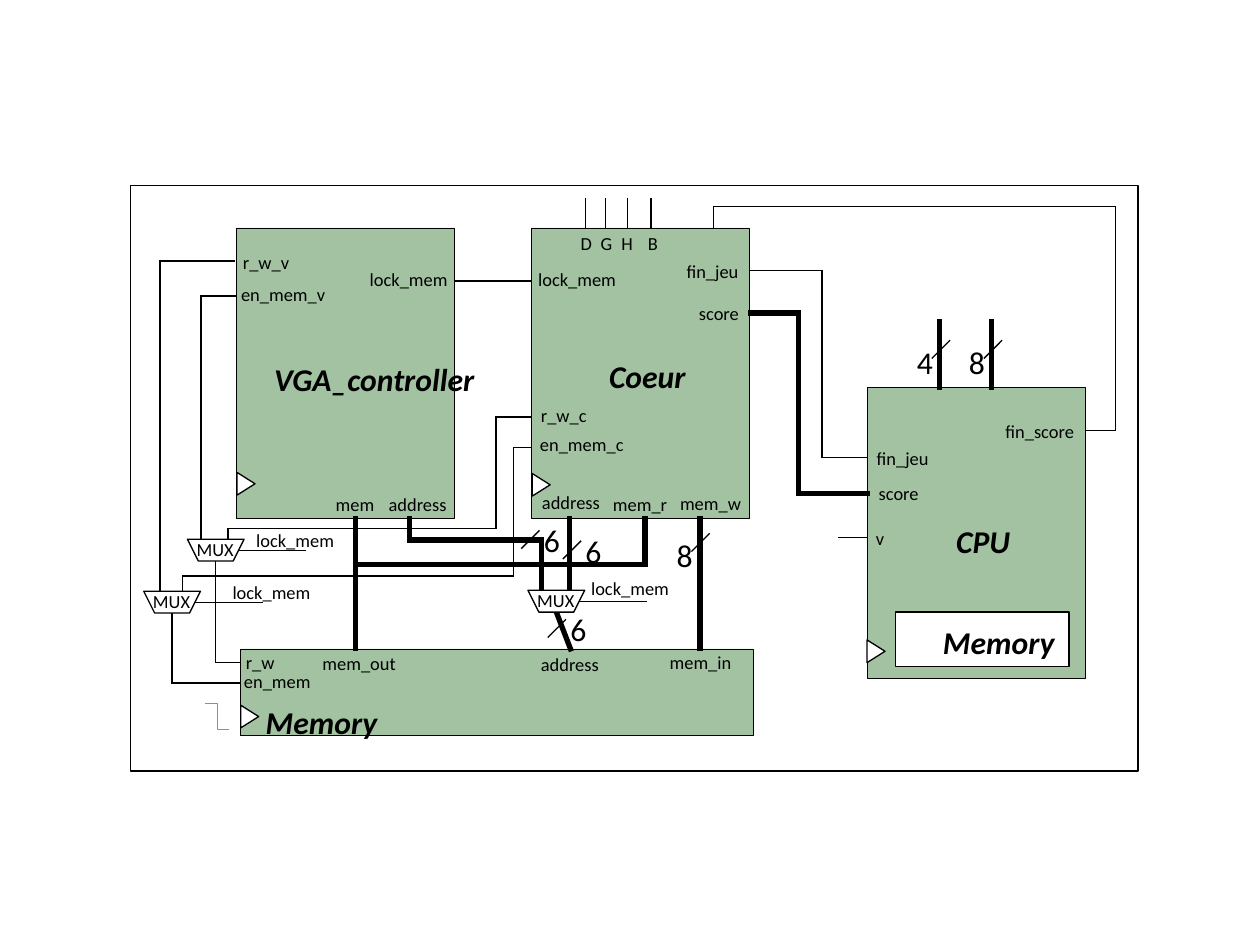
from dataclasses import dataclass
from itertools import pairwise

from lxml.etree import SubElement
from pptx import Presentation
from pptx.dml.color import RGBColor
from pptx.enum.shapes import MSO_CONNECTOR as Link, MSO_SHAPE as Preset
from pptx.oxml.ns import qn
from pptx.util import Pt


@dataclass(frozen=True)
class Theme:
    font: str = "Calibri"
    ink: RGBColor = RGBColor(0, 0, 0)
    paper: RGBColor = RGBColor(255, 255, 255)
    block: RGBColor = RGBColor(0xA2, 0xC2, 0xA2)
    clock: RGBColor = RGBColor(0x5B, 0x9B, 0xD5)
    label: float = 14
    title: float = 24.1
    hairline: float = 0.5
    wire: float = 1
    bus: float = 4


THEME = Theme()
BLOCK_SIZE = (165.6, 221)
MUX_SIZE = (43.2, 16.6)
CLOCK_SIZE = (17.3, 13.7)

BLOCKS = [(180, 173.5, *BLOCK_SIZE), (404.6, 173.5, *BLOCK_SIZE),
          (660.2, 295.2, *BLOCK_SIZE), (182.9, 493.9, 390.2, 66.2)]
CLOCK_INPUTS = [(178.6, 361.4), (403.2, 362.2), (181.4, 538.6), (658.1, 488.9)]
MUXES = [(142.6, 410.4), (109.4, 450), (401.8, 449.3)]

WIRES = [
    [(178.6, 198.7), (121.7, 198.7), (121.7, 450)],
    [(180, 225.4), (153, 225.4), (153, 410.4)],
    [(404.6, 317.5), (377.6, 317.5), (377.6, 402.5), (173.5, 402.5), (173.5, 410.4)],
    [(404, 340.6), (390.6, 340.6), (390.6, 438.5), (139, 438.5), (139, 450)],
    [(131, 467), (131, 519.8), (182.9, 519.8)],
    [(164.2, 427), (164.2, 504), (183, 504)],
    [(347, 213.8), (404.6, 213.8)],
    [(571, 205.9), (625.7, 205.9), (625.7, 348.5), (660.2, 348.5)],
    [(660.2, 409.3), (638.6, 409.3)],
    [(826.6, 327.6), (848.9, 327.6), (848.9, 157), (542.9, 157), (542.9, 173.5)],
]
BUSES = [
    [(571, 238.3), (607.7, 238.3), (607.7, 375.8), (660.2, 375.8)],
    [(532.8, 394.6), (532.8, 493.9)],
    [(433.4, 394.6), (433.4, 449.3)],
    [(311.8, 394.6), (311.8, 411.1), (412, 411.1), (412, 449.3)],
    [(270.7, 394.6), (270.7, 493.2)],
    [(270.7, 429.8), (491, 429.8), (491, 394.6)],
    [(423.4, 465.8), (434.2, 493.9)],
    [(715, 244.8), (715, 295.2)],
    [(754.6, 244.8), (754.6, 295.2)],
]
# Text, foot of the slash, offset of the number from that foot
LEFT, RIGHT = (-18.4, -15.8), (10.1, -24.5)
BUS_WIDTHS = [
    ("8", (526.3, 419.8), LEFT), ("4", (709.2, 272.9), LEFT),
    ("8", (748.8, 272.9), LEFT), ("6", (428.4, 425.5), RIGHT),
    ("6", (396.7, 417.6), RIGHT), ("6", (416.9, 485.3), RIGHT),
]
# Letter, pin x, label left, label width
DIRECTIONS = [("D", 445.7, 434.9, 23), ("G", 460.8, 450, 23.8),
              ("H", 477.4, 465.8, 23), ("B", 495.4, 486, 22.3)]
# Text: box width, places of its boxes
LABELS = {
    "lock_mem": (74.2, [(274.3, 200.2), (402.5, 200.2), (187.9, 398.9),
                        (169.9, 438.5), (442.8, 435.6)]),
    "address": (59, [(288.7, 371.5), (405.4, 370.1), (404.6, 493.9)]),
    "fin_jeu": (54.7, [(515.5, 194.4), (660.2, 337)]),
    "score": (45.4, [(524.9, 226.1), (661.7, 363.6)]),
    "r_w_v": (50.4, [(177.8, 187.9)]),
    "en_mem_v": (79.2, [(176.4, 211.7)]),
    "r_w_c": (49.7, [(404.6, 303.8)]),
    "en_mem_c": (78.5, [(403.9, 326.2)]),
    "mem": (43.9, [(248.4, 372.2)]),
    "mem_r": (56.2, [(459.4, 371.5)]),
    "mem_w": (61.2, [(510.5, 370.8)]),
    "mem_in": (61.9, [(502.6, 491.8)]),
    "mem_out": (70.6, [(238.3, 492.5)]),
    "r_w": (36.7, [(180, 491.8)]),
    "en_mem": (65.5, [(178.6, 506.9)]),
    "v": (20.9, [(659.5, 397.4)]),
    "fin_score": (67, [(758.2, 316.1)]),
}
TITLES = {
    "VGA_controller": (168.5, [(201.6, 270.7)]),
    "Coeur": (73.4, [(456.5, 267.8)]),
    "CPU": (56.2, [(720.7, 393.8)]),
    "Memory": (100.1, [(195.1, 531.4), (710.6, 470.9)]),
}


def assign(target, values):
    for name, value in values.items():
        setattr(target, name, value)


def add_outline(page, preset, place, fill=THEME.paper, width=THEME.wire, rotation=0):
    shape = page.shapes.add_shape(preset, *map(Pt, place))
    shape.shadow.inherit = False
    shape.rotation = rotation
    shape.fill.solid()
    shape.fill.fore_color.rgb = fill
    shape.line.color.rgb = THEME.ink
    shape.line.width = Pt(width)
    return shape


def add_line(page, start, end, width=THEME.wire, color=THEME.ink, kind=Link.STRAIGHT):
    line = page.shapes.add_connector(kind, *map(Pt, (*start, *end)))
    line.line.color.rgb = color
    line.line.width = Pt(width)
    SubElement(line._element.spPr, qn("a:effectLst"))
    return line


def add_route(page, points, width):
    """Join the points by straight lines with square ends, so corners close."""
    for start, end in pairwise(points):
        line = add_line(page, start, end, width)
        line.line._get_or_add_ln().set("cap", "sq")


def add_text(page, text, left, top, width, size=THEME.label, strong=False):
    height = 36.7 if size == THEME.title else 24.5
    box = page.shapes.add_textbox(*map(Pt, (left, top, width, height)))
    box.text_frame.word_wrap = False
    para = box.text_frame.paragraphs[0]
    span = para.add_run()
    span.text = text
    assign(span.font, {"name": THEME.font, "size": Pt(size),
                       "bold": strong, "italic": strong})
    span.font.color.rgb = THEME.ink


def add_texts(page, texts, **style):
    for text, (width, places) in texts.items():
        for left, top in places:
            add_text(page, text, left, top, width, **style)


def add_mux(page, left, top):
    """Draw a multiplexer with its select wire on the right."""
    width, height = MUX_SIZE
    add_line(page, (left + 38.5, top + 8.6), (left + 90.5, top + 8.6))
    shape = add_outline(page, Preset.TRAPEZOID, (left, top, width, height), rotation=180)
    shape.adjustments[0] = 0.5
    add_text(page, "MUX", left, top - 4.3, width)


def add_bus_width(page, text, foot, offset):
    left, bottom = foot
    add_line(page, foot, (left + 13.9, bottom - 13.9))
    add_text(page, text, left + offset[0], bottom + offset[1], 26.6, THEME.title)


def add_direction(page, letter, pin, left, width):
    add_line(page, (pin, 173.5), (pin, 150.5))
    add_text(page, letter, left, 172.8, width)


def main():
    deck = Presentation()
    assign(deck, {"slide_width": Pt(959), "slide_height": Pt(719.3)})
    page = deck.slides.add_slide(deck.slide_layouts[6])

    add_outline(page, Preset.RECTANGLE, (99.4, 141.1, 766.8, 445.7))
    for place in BLOCKS:
        add_outline(page, Preset.RECTANGLE, place, THEME.block, THEME.hairline)
    add_outline(page, Preset.RECTANGLE, (681.8, 465.8, 131.8, 41.8))
    for corner in CLOCK_INPUTS:
        add_outline(page, Preset.ISOSCELES_TRIANGLE, (*corner, *CLOCK_SIZE), rotation=90)
    add_line(page, (156.2, 535), (174.2, 554.8), THEME.hairline, THEME.clock, Link.ELBOW)

    for routes, width in ((WIRES, THEME.wire), (BUSES, THEME.bus)):
        for points in routes:
            add_route(page, points, width)
    for corner in MUXES:
        add_mux(page, *corner)
    for bus_width in BUS_WIDTHS:
        add_bus_width(page, *bus_width)
    for direction in DIRECTIONS:
        add_direction(page, *direction)
    add_texts(page, LABELS)
    add_texts(page, TITLES, size=THEME.title, strong=True)

    deck.save("out.pptx")


if __name__ == "__main__":
    main()
